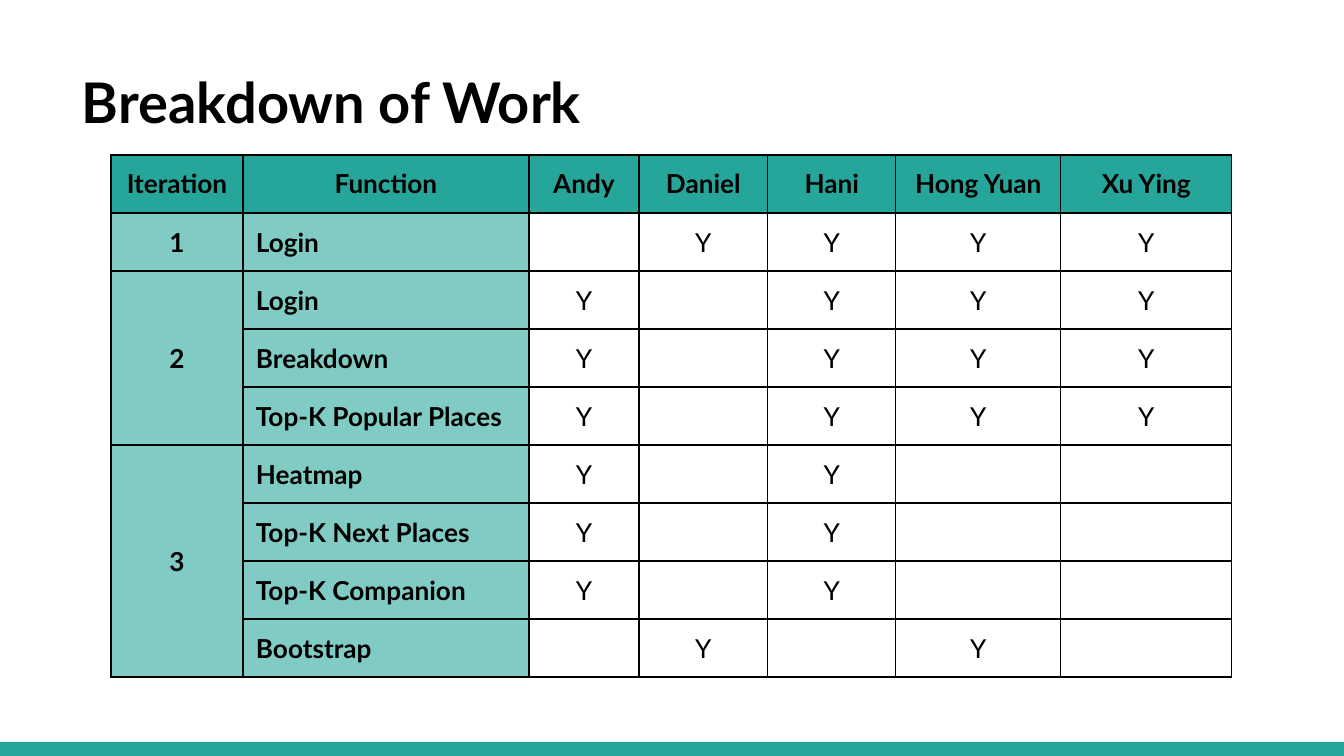
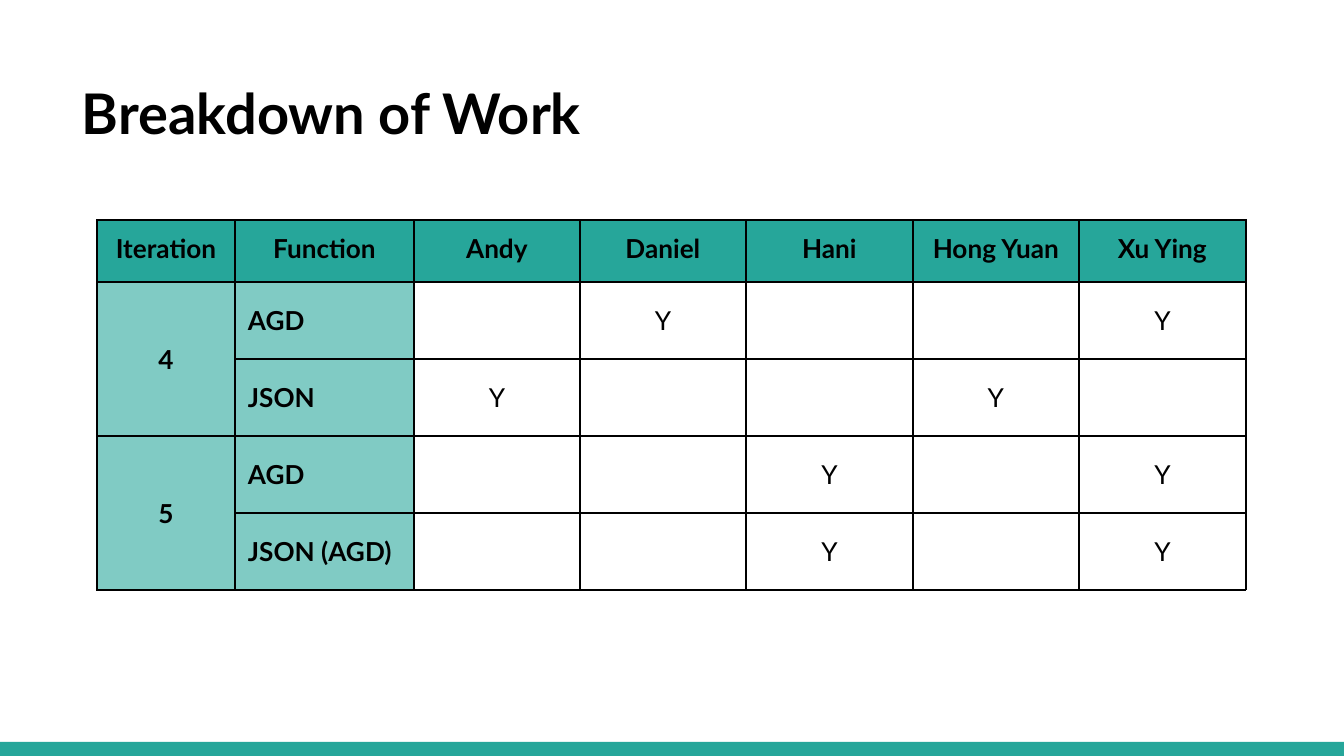
from lxml.etree import SubElement
from pptx import Presentation
from pptx.dml.color import RGBColor
from pptx.enum.shapes import MSO_SHAPE
from pptx.enum.text import MSO_ANCHOR, PP_ALIGN
from pptx.oxml.ns import qn
from pptx.util import Emu, Pt

SCALE = 914400 / 134.4  # EMU in one px
WIDTH, HEIGHT = 1344, 756
INSET = 13
FONT = "Lato"
TEAL, PALE_TEAL, BLACK = "26A69A", "80CBC4", "000000"
HEADINGS = ["Iteration", "Function", "Andy", "Daniel", "Hani", "Hong Yuan", "Xu Ying"]

# Each iteration lists its functions; marks follow the five members
SLIDES = [
    {
        "title_top": 55, "left": 111, "top": 155,
        "columns": [132, 286, 110, 129, 128, 165, 171],
        "header_height": 58, "row_height": 58,
        "iterations": {
            "1": [("Login", "-YYYY")],
            "2": [("Login", "Y-YYY"), ("Breakdown", "Y-YYY"),
                  ("Top-K Popular Places", "Y-YYY")],
            "3": [("Heatmap", "Y-Y--"), ("Top-K Next Places", "Y-Y--"),
                  ("Top-K Companion", "Y-Y--"), ("Bootstrap", "-Y-Y-")],
        },
    },
    {
        "title_top": 66, "left": 97, "top": 220,
        "columns": [138, 179, 166, 166, 167, 166, 167],
        "header_height": 62, "row_height": 77,
        "iterations": {
            "4": [("AGD", "-Y--Y"), ("JSON", "Y--Y-")],
            "5": [("AGD", "--Y-Y"), ("JSON (AGD)", "--Y-Y")],
        },
    },
]


def px(*lengths):
    return [Emu(round(length * SCALE)) for length in lengths]


def color(value):
    return RGBColor.from_string(value)


deck = Presentation()
deck.slide_width, deck.slide_height = px(WIDTH, HEIGHT)

for content in SLIDES:
    page = deck.slides.add_slide(deck.slide_layouts[6])

    # Bottom band
    band = page.shapes.add_shape(MSO_SHAPE.RECTANGLE, *px(0, 742, WIDTH, 14))
    band.shadow.inherit = False
    band.fill.solid()
    band.fill.fore_color.rgb = color(TEAL)
    band.line.fill.background()

    # Table rows, and the first row and length of each iteration
    rows = [HEADINGS]
    spans = []
    for iteration, functions in content["iterations"].items():
        spans.append((len(rows), len(functions)))
        for index, (function, marks) in enumerate(functions):
            label = iteration if index == 0 else ""
            rows.append([label, function, *marks.replace("-", " ")])

    # Table grid
    heights = [content["header_height"]] + [content["row_height"]] * (len(rows) - 1)
    frame = page.shapes.add_table(
        len(rows), len(HEADINGS),
        *px(content["left"], content["top"], sum(content["columns"]), sum(heights)))
    table = frame.table
    table.first_row = table.horz_banding = False
    for column, width in zip(table.columns, px(*content["columns"])):
        column.width = width
    for row, height in zip(table.rows, px(*heights)):
        row.height = height

    # Cells
    for row_index, values in enumerate(rows):
        for column_index, value in enumerate(values):
            cell = table.cell(row_index, column_index)
            is_header = row_index == 0
            is_label = column_index < 2

            cell.margin_left, cell.margin_top = px(INSET, INSET)
            cell.margin_right, cell.margin_bottom = px(INSET, INSET)
            cell.vertical_anchor = MSO_ANCHOR.TOP if is_header else MSO_ANCHOR.MIDDLE

            # Borders go before the fill in the cell properties
            properties = cell._tc.get_or_add_tcPr()
            for side in ("a:lnL", "a:lnR", "a:lnT", "a:lnB"):
                line = SubElement(properties, qn(side), w=str(Pt(0.75)))
                fill = SubElement(line, qn("a:solidFill"))
                SubElement(fill, qn("a:srgbClr"), val=BLACK)
            if is_header or is_label:
                cell.fill.solid()
                cell.fill.fore_color.rgb = color(TEAL if is_header else PALE_TEAL)
            else:
                cell.fill.background()

            paragraph = cell.text_frame.paragraphs[0]
            paragraph.text = value.strip()
            is_function = column_index == 1 and not is_header
            paragraph.alignment = PP_ALIGN.JUSTIFY if is_function else PP_ALIGN.CENTER
            for span in paragraph.runs:
                span.font.name = FONT
                span.font.size = Pt(14)
                span.font.bold = is_header or is_label
                span.font.color.rgb = color(BLACK)
            if not paragraph.runs:  # keeps empty cells from stretching the row
                SubElement(paragraph._p, qn("a:endParaRPr"), sz="1400")

    # Iteration cells reach over all their functions
    for first, count in spans:
        if count > 1:
            table.cell(first, 0).merge(table.cell(first + count - 1, 0))

    # Title
    box = page.shapes.add_textbox(*px(69, content["title_top"], 1253, 90))
    frame = box.text_frame
    frame.word_wrap = True
    frame.margin_left, frame.margin_top = px(INSET, INSET)
    frame.margin_right, frame.margin_bottom = px(INSET, INSET)
    frame.text = "Breakdown of Work"
    span = frame.paragraphs[0].runs[0]
    span.font.name = FONT
    span.font.size = Pt(30)
    span.font.bold = True
    span.font.color.rgb = color(BLACK)

deck.save("out.pptx")
